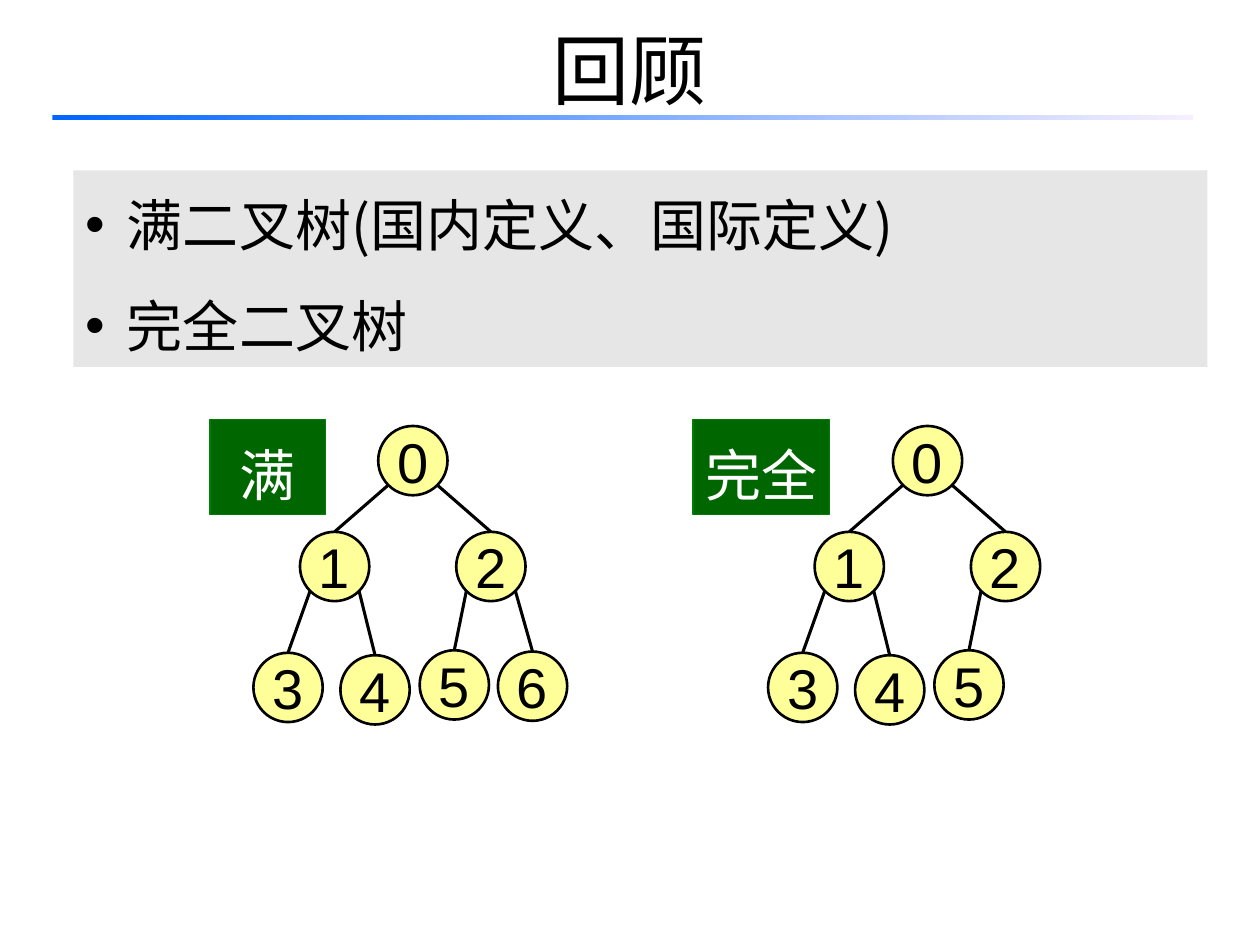
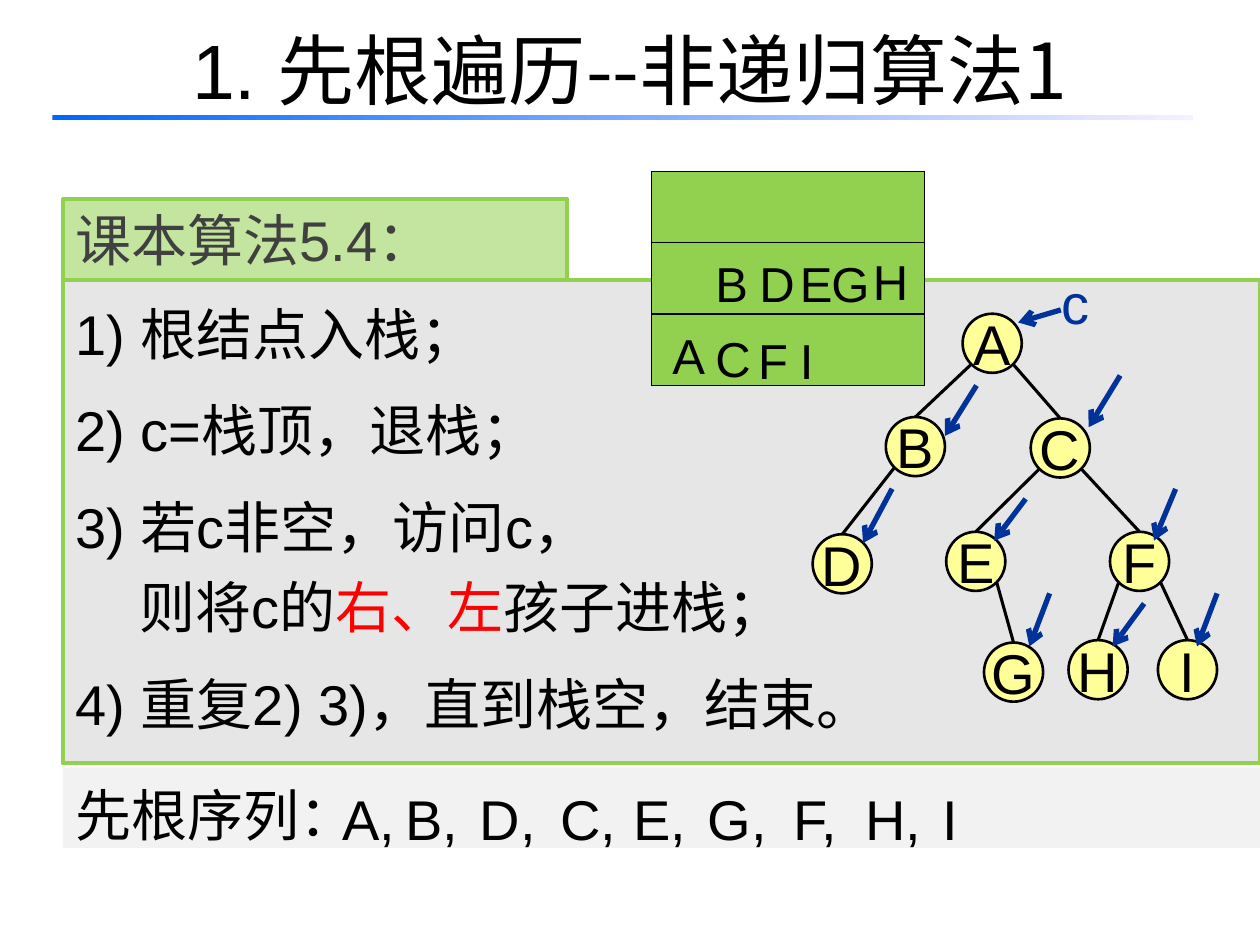
from dataclasses import dataclass

from lxml import etree
from pptx import Presentation
from pptx.dml.color import RGBColor
from pptx.enum.shapes import MSO_CONNECTOR as CONN, MSO_SHAPE as SHAPE
from pptx.enum.text import MSO_ANCHOR as ANCHOR, PP_ALIGN as ALIGN
from pptx.oxml.ns import qn
from pptx.util import Pt


@dataclass(frozen=True)
class Theme:
    text: str = "000000"
    white: str = "FFFFFF"
    panel: str = "E6E6E6"
    strip: str = "F2F2F2"
    node: str = "FFFF99"
    tag: str = "006600"
    tag_line: str = "007E00"
    green: str = "92D050"
    pale_green: str = "C4E59F"
    heading: str = "404040"
    pointer: str = "003399"
    accent: str = "FF0000"
    rule_start: str = "0066FF"
    rule_end: str = "F7EFFF"
    latin: str = "Arial"
    cjk: str = "Noto Sans CJK SC"
    title_size: int = 44
    body_size: int = 32
    stack_size: int = 28


T = Theme()


# Shared helpers
def rgb(value):
    return RGBColor.from_string(value)


def sub(parent, tag, **attrs):
    return etree.SubElement(parent, qn(tag), attrs)


def add_box(slide, kind, box, fill, line=None, width=1):
    sp = slide.shapes.add_shape(kind, *map(Pt, box))
    sp.shadow.inherit = False
    sp.fill.solid()
    sp.fill.fore_color.rgb = rgb(fill)
    if line:
        sp.line.color.rgb = rgb(line)
        sp.line.width = Pt(width)
    else:
        sp.line.fill.background()
    return sp


def style_run(r, size, color, font):
    r.font.size = Pt(size)
    r.font.color.rgb = rgb(color)
    r.font.name = font
    sub(r._r.get_or_add_rPr(), "a:ea", typeface=T.cjk)


def write(sp, paragraphs, size=T.body_size, color=T.text, font=T.latin,
          align=ALIGN.LEFT, anchor=ANCHOR.TOP, spacing=1.0, wrap=True):
    """Each paragraph is a string or a list of (text, overrides) runs."""
    tf = sp.text_frame
    tf.word_wrap = wrap
    tf.vertical_anchor = anchor
    for i, runs in enumerate(paragraphs):
        p = tf.add_paragraph() if i else tf.paragraphs[0]
        p.alignment = align
        p.line_spacing = spacing
        for text, own in [(runs, {})] if isinstance(runs, str) else runs:
            r = p.add_run()
            r.text = text
            style_run(r, size, own.get("color", color), own.get("font", font))
    return tf


def add_text(slide, box, text, **style):
    return write(slide.shapes.add_textbox(*map(Pt, box)), [text], **style)


def add_line(slide, start, end, color=T.text, width=1.75, arrow=False):
    cx = slide.shapes.add_connector(CONN.STRAIGHT, *map(Pt, (*start, *end)))
    cx.line.color.rgb = rgb(color)
    cx.line.width = Pt(width)
    if arrow:
        sub(cx.line._get_or_add_ln(), "a:tailEnd", type="arrow")
    sub(cx._element.spPr, "a:effectLst")
    return cx


def add_title(slide, runs):
    """Centred title over a fading rule."""
    add_text(slide, (36, -6, 648, 90), runs, size=T.title_size, font=T.cjk,
             align=ALIGN.CENTER, anchor=ANCHOR.MIDDLE)
    rule = add_box(slide, SHAPE.RECTANGLE, (30, 65.5, 652, 3), T.rule_start)
    rule.fill.gradient()
    rule.fill.gradient_angle = 0
    for stop, color, pos in zip(rule.fill.gradient_stops,
                                (T.rule_start, T.rule_end), (0, 1)):
        stop.color.rgb = rgb(color)
        stop.position = pos


def add_tree(slide, left, top, size, nodes, edges):
    """Nodes are offsets from the tree's corner; edges are parent-child pairs."""
    circles = {}
    for label, (x, y) in nodes.items():
        circles[label] = add_box(slide, SHAPE.OVAL,
                                 (left + x, top + y, size, size),
                                 T.node, T.text, 1.5)
        write(circles[label], [label], align=ALIGN.CENTER,
              anchor=ANCHOR.MIDDLE, wrap=False)
    # Edges leave a parent at 45 degrees and meet the child's top
    reach = size / 2 * 0.707
    for parent, child in edges:
        px, py = nodes[parent]
        cx, cy = nodes[child]
        side = 1 if cx > px else -1
        start = (left + px + size / 2 + side * reach, top + py + size / 2 + reach)
        edge = add_line(slide, start, (left + cx + size / 2, top + cy))
        edge.end_connect(circles[child], 0)


# Slide 1: full and complete trees
LEVELS = {"0": (71.3, 0), "1": (26.6, 60.5), "2": (115.9, 60.5),
          "3": (0, 129.6), "4": (49.7, 131), "5": (95, 128.2),
          "6": (139.7, 128.9)}


def add_definitions(slide, box):
    sp = add_box(slide, SHAPE.RECTANGLE, box, T.panel)
    tf = write(sp, ["满二叉树(国内定义、国际定义)", "完全二叉树"],
               font=T.cjk, spacing=1.2)
    tf.paragraphs[1].space_before = Pt(12)
    for p in tf.paragraphs:
        pPr = p._p.get_or_add_pPr()
        pPr.set("marL", str(Pt(23.5)))
        pPr.set("indent", str(-Pt(23.5)))
        sub(pPr, "a:buFont", typeface=T.latin)
        sub(pPr, "a:buChar", char="•")


def add_tagged_tree(slide, left, top, count, tag, tag_box):
    """A tree of the first count nodes, with its tag at the upper left."""
    nodes = dict(list(LEVELS.items())[:count])
    edges = [(str((i - 1) // 2), str(i)) for i in range(1, count)]
    add_tree(slide, left, top, 39.6, nodes, edges)
    x, w = tag_box
    sp = add_box(slide, SHAPE.RECTANGLE, (left + x, top - 3.5, w, 54),
                 T.tag, T.tag_line, 0.75)
    write(sp, [tag], color=T.white, font=T.cjk, align=ALIGN.CENTER,
          anchor=ANCHOR.MIDDLE, spacing=1.2, wrap=False)


def review_slide(slide):
    add_title(slide, "回顾")
    add_definitions(slide, (42, 97.4, 648, 112.3))
    add_tagged_tree(slide, 144.8, 243.4, 7, "满", (-24.8, 66.2))
    add_tagged_tree(slide, 438.9, 243.4, 6, "完全", (-42.9, 78))


# Slide 2: preorder traversal with a stack
BINARY_TREE = {"A": (85.7, 0), "B": (41.8, 59), "C": (124.6, 59.8),
               "D": (0, 126), "E": (76.3, 124.6), "F": (169.9, 124.6),
               "G": (97.9, 187.9), "H": (146.2, 186.5), "I": (197.3, 186.5)}
BRANCHES = ["AB", "AC", "BD", "CE", "CF", "EG", "FH", "FI"]
# Pointer tip and the offset back to its tail
POINTERS = [((117.4, 5), (24.4, -7.2)), ((75.6, 69.8), (18, -28.8)),
            ((28.8, 131), (16.6, -31)), ((157.7, 64.8), (18, -29.5)),
            ((103.7, 129.6), (18, -23.8)), ((123.8, 190.1), (11.6, -30.3)),
            ((171.4, 190.1), (18, -24.5)), ((219.6, 190.1), (11.5, -30.3)),
            ((195.1, 129.6), (12.3, -29.5))]
# Letter offsets inside the stack
STACK = {"A": (5, 76.3), "C": (29.5, 77.7), "B": (29.5, 35.2),
         "D": (54.7, 35.2), "E": (77.8, 35.2), "G": (95.8, 35.2),
         "F": (54, 79.2), "H": (119.5, 33.8), "I": (77.8, 79.2)}
VISITS = {"A,": 152.6, "B,": 188.6, "D,": 231.1, "C,": 277.2, "E,": 319,
          "G,": 361.4, "F,": 410.4, "H,": 451.4, "I": 495.4}


def add_algorithm(slide, left, top, width):
    """Heading tab on top of the panel of steps."""
    sp = add_box(slide, SHAPE.RECTANGLE, (left, top + 46, width, 276.5),
                 T.panel, T.green, 2.25)
    steps = ["1) 根结点入栈；", "2) c=栈顶，退栈；", "3) 若c非空，访问c，",
             [("则将c的", {}), ("右、左", {"color": T.accent}), ("孩子进栈；", {})],
             "4) 重复2) 3)，直到栈空，结束。"]
    tf = write(sp, steps, spacing=1.2)
    for i in (1, 2, 4):
        tf.paragraphs[i].space_before = Pt(9)
    tf.paragraphs[3]._p.get_or_add_pPr().set("marL", str(Pt(36.5)))
    tab = add_box(slide, SHAPE.RECTANGLE, (left, top, 288, 46),
                  T.pale_green, T.green, 2.25)
    write(tab, ["课本算法5.4："], color=T.heading)


def add_stack(slide, left, top, width, height, rows=3):
    frame = slide.shapes.add_table(rows, 1, *map(Pt, (left, top, width, height)))
    table = frame.table
    table.first_row = table.horz_banding = False
    for row in table.rows:
        row.height = Pt(height / rows)
        cell = row.cells[0]
        tcPr = cell._tc.get_or_add_tcPr()
        for side in "LRTB":
            ln = sub(tcPr, f"a:ln{side}", w=str(Pt(1)))
            sub(sub(ln, "a:solidFill"), "a:srgbClr", val=T.text)
        cell.fill.solid()
        cell.fill.fore_color.rgb = rgb(T.green)
    for letter, (x, y) in STACK.items():
        add_text(slide, (left + x, top + y, 50, 48), letter,
                 size=T.stack_size, spacing=1.25)


def add_traced_tree(slide, left, top):
    add_tree(slide, left, top, 33.8, BINARY_TREE, BRANCHES)
    for (x, y), (dx, dy) in POINTERS:
        tip = (left + x, top + y)
        add_line(slide, (tip[0] + dx, tip[1] + dy), tip, T.pointer, 3, arrow=True)
    add_text(slide, (left + 123.8, top - 18.7, 52.6, 35.3), "c",
             color=T.pointer, align=ALIGN.CENTER, spacing=0.7)


def add_sequence(slide, left, top, width):
    sp = add_box(slide, SHAPE.RECTANGLE, (left, top, width, 46), T.strip)
    write(sp, ["先根序列："], spacing=1.1)
    for label, x in VISITS.items():
        add_text(slide, (left + x, top - 3.6, 60, 51), label, spacing=1.25)


def traversal_slide(slide):
    add_title(slide, [("1. ", {"font": T.latin}), ("先根遍历--非递归算法1", {})])
    add_algorithm(slide, 36, 113.8, 684)
    add_stack(slide, 372.2, 97.9, 156.2, 122.4)
    add_traced_tree(slide, 464.4, 179.3)
    add_sequence(slide, 36, 438.5, 684)


def main():
    prs = Presentation()
    prs.slide_width, prs.slide_height = Pt(720), Pt(540)
    for build in (review_slide, traversal_slide):
        build(prs.slides.add_slide(prs.slide_layouts[6]))
    prs.save("out.pptx")


if __name__ == "__main__":
    main()
